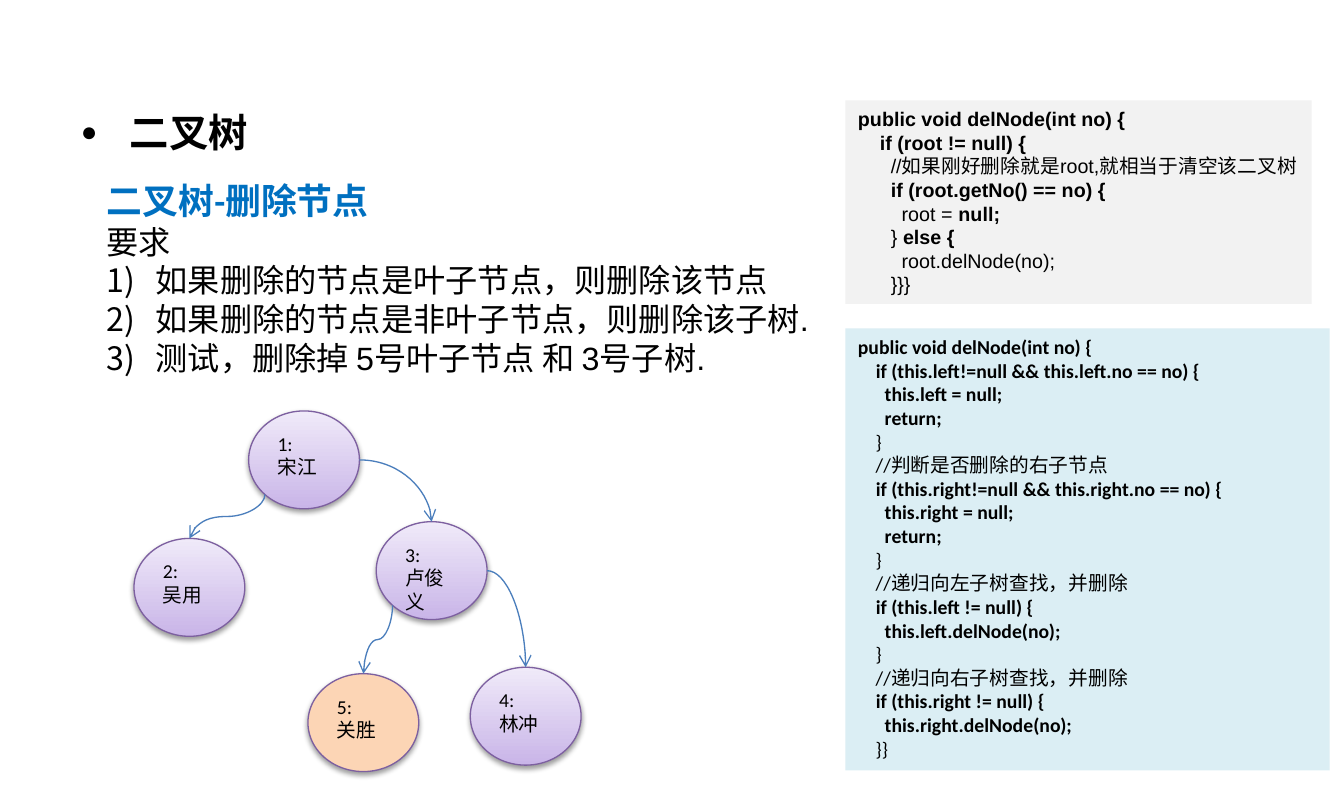
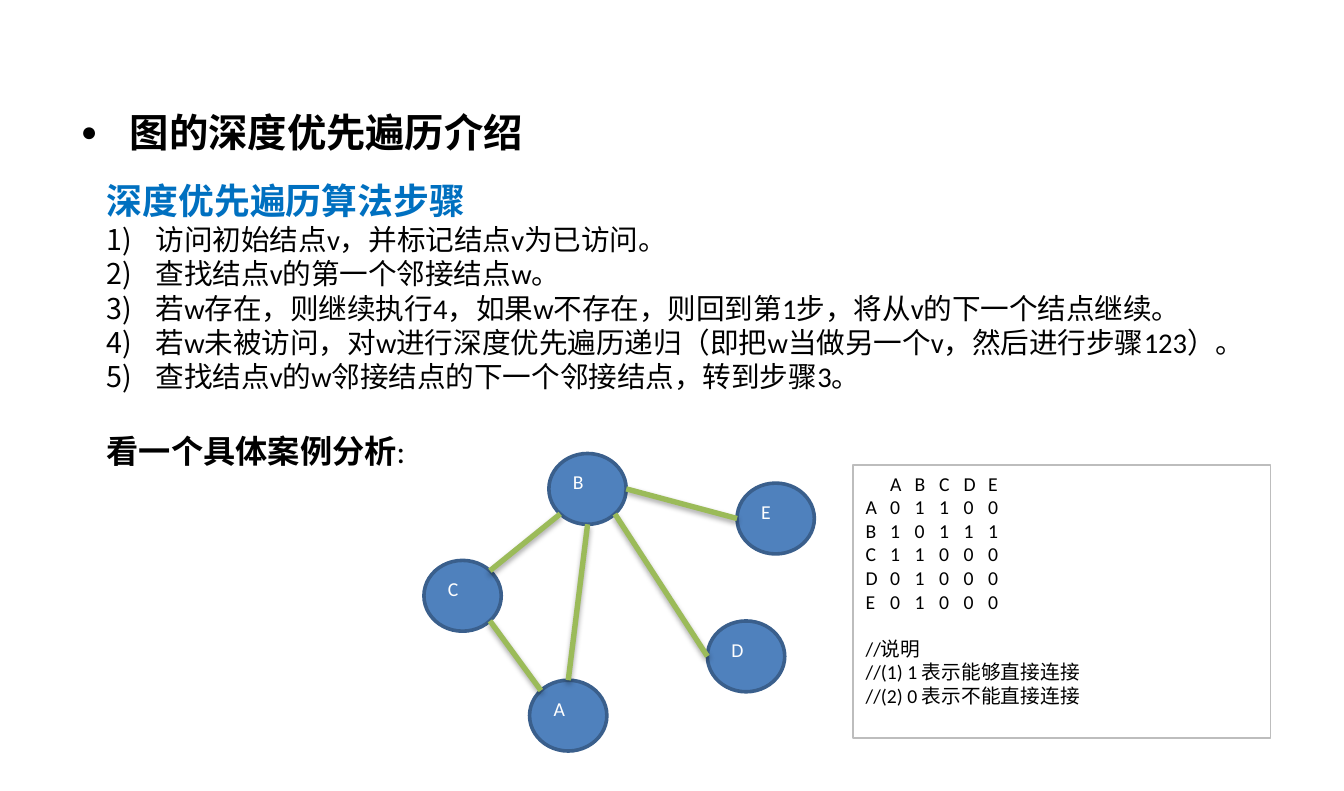
import math

from lxml import etree
from pptx import Presentation
from pptx.dml.color import RGBColor
from pptx.enum.shapes import MSO_CONNECTOR, MSO_SHAPE
from pptx.enum.text import MSO_ANCHOR, PP_ALIGN
from pptx.oxml.ns import qn
from pptx.util import Emu, Pt

ELLIPSE, RECTANGLE = MSO_SHAPE.OVAL, MSO_SHAPE.RECTANGLE
STRAIGHT, CURVE = MSO_CONNECTOR.STRAIGHT, MSO_CONNECTOR.CURVE
TOP, LEFT = MSO_ANCHOR.TOP, PP_ALIGN.LEFT

PX = 9144  # 100 px to the inch
SLIDE_WIDTH, SLIDE_HEIGHT = 1043, 614
TITLE_BOX = (53, 83, 830, 43)
INDENT = 38
SMALL = 11

BLACK, WHITE, HEADING = "000000", "FFFFFF", "0070C0"
TREE_DARK, TREE_LIGHT, TREE_LINE = "C9B5E8", "F0EAF9", "7D60A0"
LEAF_FILL, ARROW = "FCD5B5", "4B7EBC"
GRAPH_FILL, GRAPH_LINE, EDGE = "4F81BD", "3A5F8C", "9BBB59"
CODE_GREY, CODE_BLUE, MATRIX_LINE = "F2F2F2", "DBEEF4", "BDBDBD"

# Connection sites of an ellipse, by index, as angles measured clockwise from the right
SITE_ANGLES = [-90, -135, 180, 135, 90, 45, 0, -45]
SITE_TOP, SITE_TOP_LEFT, SITE_LEFT, SITE_BOTTOM_LEFT = 0, 1, 2, 3
SITE_BOTTOM, SITE_BOTTOM_RIGHT, SITE_RIGHT, SITE_TOP_RIGHT = 4, 5, 6, 7

TREE_NODES = {  # number: (name, left, top, fill)
    1: ("宋江", 89, 0, None),
    2: ("吴用", 0, 99, None),
    3: ("卢俊义", 188, 86, None),
    4: ("林冲", 261, 199, None),
    5: ("关胜", 135, 204, LEAF_FILL),
}
LEFT_CHILDREN = [(1, 2), (3, 5)]
RIGHT_CHILDREN = [(1, 3), (3, 4)]

GRAPH_NODES = {"B": (97, 0), "C": (0, 83), "A": (82, 176),
               "D": (220, 130), "E": (243, 23)}
GRAPH_EDGES = [
    ("C", SITE_BOTTOM_RIGHT, "A", SITE_TOP_LEFT),
    ("C", SITE_TOP_RIGHT, "B", SITE_BOTTOM_LEFT),
    ("B", SITE_RIGHT, "E", SITE_LEFT),
    ("B", SITE_BOTTOM, "A", SITE_TOP),
    ("B", SITE_BOTTOM_RIGHT, "D", SITE_LEFT),
]

# Each code line is a plain part followed by a bold part
ROOT_CODE = [
    ("", "public void delNode(int no) {"),
    ("    ", "if (root != null) {"),
    ("      //如果刚好删除就是root,就相当于清空该二叉树", ""),
    ("      ", "if (root.getNo() == no) {"),
    ("        root = ", "null;"),
    ("      } ", "else {"),
    ("        root.delNode(no);", ""),
    ("      }}}", ""),
]
NODE_CODE = [
    ("", "public void delNode(int no) {"),
    ("    ", "if (this.left!=null && this.left.no == no) {"),
    ("      ", "this.left = null;"),
    ("      ", "return;"),
    ("    }", ""),
    ("    //判断是否删除的右子节点", ""),
    ("    ", "if (this.right!=null && this.right.no == no) {"),
    ("      ", "this.right = null;"),
    ("      ", "return;"),
    ("    }", ""),
    ("    //递归向左子树查找，并删除", ""),
    ("    ", "if (this.left != null) {"),
    ("      ", "this.left.delNode(no);"),
    ("    }", ""),
    ("    //递归向右子树查找，并删除", ""),
    ("    ", "if (this.right != null) {"),
    ("      ", "this.right.delNode(no);"),
    ("    }}", ""),
]

DELETE_RULES = [
    "如果删除的节点是叶子节点，则删除该节点",
    "如果删除的节点是非叶子节点，则删除该子树.",
    "测试，删除掉 5号叶子节点 和 3号子树.",
]
SEARCH_STEPS = [
    "访问初始结点v，并标记结点v为已访问。",
    "查找结点v的第一个邻接结点w。",
    "若w存在，则继续执行4，如果w不存在，则回到第1步，将从v的下一个结点继续。",
    "若w未被访问，对w进行深度优先遍历递归（即把w当做另一个v，然后进行步骤123）。",
    "查找结点v的w邻接结点的下一个邻接结点，转到步骤3。",
]
MATRIX_NAMES = "ABCDE"
MATRIX = ["01100", "10111", "11000", "01000", "01000"]
MATRIX_NOTES = ["//说明", "//(1) 1 表示能够直接连接", "//(2) 0 表示不能直接连接"]


def px(length):
    return Emu(round(length * PX))


def color(value):
    return RGBColor.from_string(value)


def add_element(parent, tag, **attributes):
    element = etree.SubElement(parent, qn(tag))
    for name, value in attributes.items():
        element.set(name, str(value))
    return element


def add_run(paragraph, text, size, font="Calibri", fill=BLACK, bold=False):
    run = paragraph.add_run()
    run.text = text
    run.font.size, run.font.name, run.font.bold = Pt(size), font, bold
    run.font.color.rgb = color(fill)


def next_paragraph(frame):
    """Return the empty first paragraph, or a new one after it."""
    first = frame.paragraphs[0]
    paragraph = frame.add_paragraph() if first.runs else first
    paragraph.alignment = LEFT
    return paragraph


def hang(paragraph):
    properties = paragraph._p.get_or_add_pPr()
    properties.set("marL", str(px(INDENT)))
    properties.set("indent", str(-px(INDENT)))
    return properties


def add_text_box(slide, box):
    frame = slide.shapes.add_textbox(*map(px, box)).text_frame
    frame.word_wrap = True
    return frame


def add_panel(slide, kind, box, fill, line=None, line_width=0.75):
    shape = slide.shapes.add_shape(kind, *map(px, box))
    shape.shadow.inherit = False
    shape.fill.solid()
    shape.fill.fore_color.rgb = color(fill)
    if line:
        shape.line.color.rgb = color(line)
        shape.line.width = Pt(line_width)
    else:
        shape.line.fill.background()
    shape.text_frame.word_wrap = True
    shape.text_frame.vertical_anchor = TOP
    return shape


def add_effects(shape, opacity=0, distance=0):
    """Replace the theme effects by a shadow below, or by nothing at zero opacity."""
    properties = shape._element.spPr
    effects = properties.find(qn("a:effectLst"))
    if effects is None:
        effects = add_element(properties, "a:effectLst")
    if opacity:
        shadow = add_element(effects, "a:outerShdw", blurRad=Pt(3.1), dist=Pt(distance),
                             dir=90 * 60000, rotWithShape=0)
        shade = add_element(shadow, "a:srgbClr", val=BLACK)
        add_element(shade, "a:alpha", val=opacity * 1000)


def site(shape, index):
    """Return the point, in px, of an ellipse's connection site."""
    angle = math.radians(SITE_ANGLES[index])
    x = shape.left + shape.width / 2 * (1 + math.cos(angle))
    y = shape.top + shape.height / 2 * (1 + math.sin(angle))
    return x / PX, y / PX


def add_line(slide, kind, start, end, line, width):
    connector = slide.shapes.add_connector(kind, *map(px, start + end))
    connector.line.color.rgb = color(line)
    connector.line.width = Pt(width)
    return connector


def add_arrow(slide, start, end):
    arrow = add_line(slide, CURVE, start, end, ARROW, 0.75)
    add_element(arrow.line._get_or_add_ln(), "a:tailEnd", type="arrow")
    add_effects(arrow)
    return arrow


def add_left_arrow(slide, parent, child):
    """Draw an S-curve that leaves downwards: a quarter-turned connector."""
    (x1, y1), (x2, y2) = site(parent, SITE_BOTTOM_LEFT), site(child, SITE_TOP)
    middle_x, middle_y = (x1 + x2) / 2, (y1 + y2) / 2
    across, down = (y2 - y1) / 2, (x1 - x2) / 2
    arrow = add_arrow(slide, (middle_x - across, middle_y - down),
                      (middle_x + across, middle_y + down))
    arrow._element.spPr.xfrm.set("rot", str(90 * 60000))


def add_right_arrow(slide, parent, child):
    arrow = add_arrow(slide, site(parent, SITE_RIGHT), site(child, SITE_TOP))
    arrow._element.spPr.find(qn("a:prstGeom")).set("prst", "curvedConnector2")


def add_title(slide, text):
    paragraph = next_paragraph(add_text_box(slide, TITLE_BOX))
    properties = hang(paragraph)
    add_element(add_element(properties, "a:buClr"), "a:srgbClr", val=BLACK)
    add_element(properties, "a:buSzPct", val=70000)
    add_element(properties, "a:buFont", typeface="Arial")
    add_element(properties, "a:buChar", char="●")
    paragraph.line_spacing = 0.9
    add_run(paragraph, text, 22, "Arial", bold=True)


def add_numbered(frame, items, size, font):
    for item in items:
        paragraph = next_paragraph(frame)
        properties = hang(paragraph)
        add_element(properties, "a:buFont", typeface="+mj-ea")
        add_element(properties, "a:buAutoNum", type="arabicParenR")
        add_run(paragraph, item, size, font)


def add_code(slide, box, fill, lines, font):
    frame = add_panel(slide, RECTANGLE, box, fill).text_frame
    for plain, strong in lines:
        paragraph = next_paragraph(frame)
        for text, bold in ((plain, False), (strong, True)):
            if text:
                add_run(paragraph, text, SMALL, font, bold=bold)


def add_tree(slide, left, top):
    nodes = {}
    for number, (name, x, y, fill) in TREE_NODES.items():
        node = add_panel(slide, ELLIPSE, (left + x, top + y, 86, 76),
                         fill or TREE_DARK, TREE_LINE)
        if not fill:
            node.fill.gradient()
            node.fill.gradient_angle = 90
            for stop, shade in zip(node.fill.gradient_stops, (TREE_DARK, TREE_LIGHT)):
                stop.color.rgb = color(shade)
        add_effects(node, 38, 1.6)
        for text in (f"{number}:", name):
            add_run(next_paragraph(node.text_frame), text, SMALL)
        nodes[number] = node
    for parent, child in LEFT_CHILDREN:
        add_left_arrow(slide, nodes[parent], nodes[child])
    for parent, child in RIGHT_CHILDREN:
        add_right_arrow(slide, nodes[parent], nodes[child])


def add_graph(slide, left, top):
    nodes = {}
    for name, (x, y) in GRAPH_NODES.items():
        node = add_panel(slide, ELLIPSE, (left + x, top + y, 60, 55),
                         GRAPH_FILL, GRAPH_LINE, 2)
        add_run(next_paragraph(node.text_frame), name, SMALL, fill=WHITE)
        nodes[name] = node
    for first, first_site, second, second_site in GRAPH_EDGES:
        start, end = nodes[first], nodes[second]
        edge = add_line(slide, STRAIGHT, site(start, first_site),
                        site(end, second_site), EDGE, 3)
        add_effects(edge, 35, 1.8)
        joints = edge._element.nvCxnSpPr.cNvCxnSpPr
        add_element(joints, "a:stCxn", id=start.shape_id, idx=first_site)
        add_element(joints, "a:endCxn", id=end.shape_id, idx=second_site)


def add_matrix(slide, box):
    frame = add_panel(slide, RECTANGLE, box, WHITE, MATRIX_LINE).text_frame
    for label, cells in zip(["", *MATRIX_NAMES], [MATRIX_NAMES, *MATRIX]):
        paragraph = next_paragraph(frame)
        tabs = add_element(paragraph._p.get_or_add_pPr(), "a:tabLst")
        for column in range(1, len(cells) + 1):
            add_element(tabs, "a:tab", pos=px(19 * column), algn="l")
        add_run(paragraph, "\t".join([label, *cells]), SMALL)
    for index, note in enumerate(MATRIX_NOTES):
        paragraph = next_paragraph(frame)
        if index == 0:
            paragraph.space_before = Pt(13)
        add_run(paragraph, note, SMALL)


def build_tree_slide(slide):
    add_title(slide, "二叉树")
    frame = add_text_box(slide, (73, 134, 890, 377))
    add_run(next_paragraph(frame), "二叉树-删除节点", 20, fill=HEADING, bold=True)
    add_run(next_paragraph(frame), "要求", 18, "Arial")
    add_numbered(frame, DELETE_RULES, 18, "Arial")
    add_tree(slide, 104, 319)
    add_code(slide, (656, 255, 376, 343), CODE_BLUE, NODE_CODE, "Calibri")
    add_code(slide, (656, 78, 362, 158), CODE_GREY, ROOT_CODE, "Arial")


def build_graph_slide(slide):
    add_title(slide, "图的深度优先遍历介绍")
    frame = add_text_box(slide, (73, 134, 921, 269))
    add_run(next_paragraph(frame), "深度优先遍历算法步骤", 20, fill=HEADING, bold=True)
    add_numbered(frame, SEARCH_STEPS, 16, "Calibri")
    example = next_paragraph(frame)
    example.space_before = Pt(21)
    add_run(example, "看一个具体案例分析", 18, bold=True)
    add_run(example, ":", 18)
    add_graph(slide, 329, 352)
    add_matrix(slide, (662, 361, 324, 212))


def main():
    presentation = Presentation()
    presentation.slide_width, presentation.slide_height = px(SLIDE_WIDTH), px(SLIDE_HEIGHT)
    blank = presentation.slide_layouts[6]
    for build in (build_tree_slide, build_graph_slide):
        build(presentation.slides.add_slide(blank))
    presentation.save("out.pptx")


if __name__ == "__main__":
    main()
